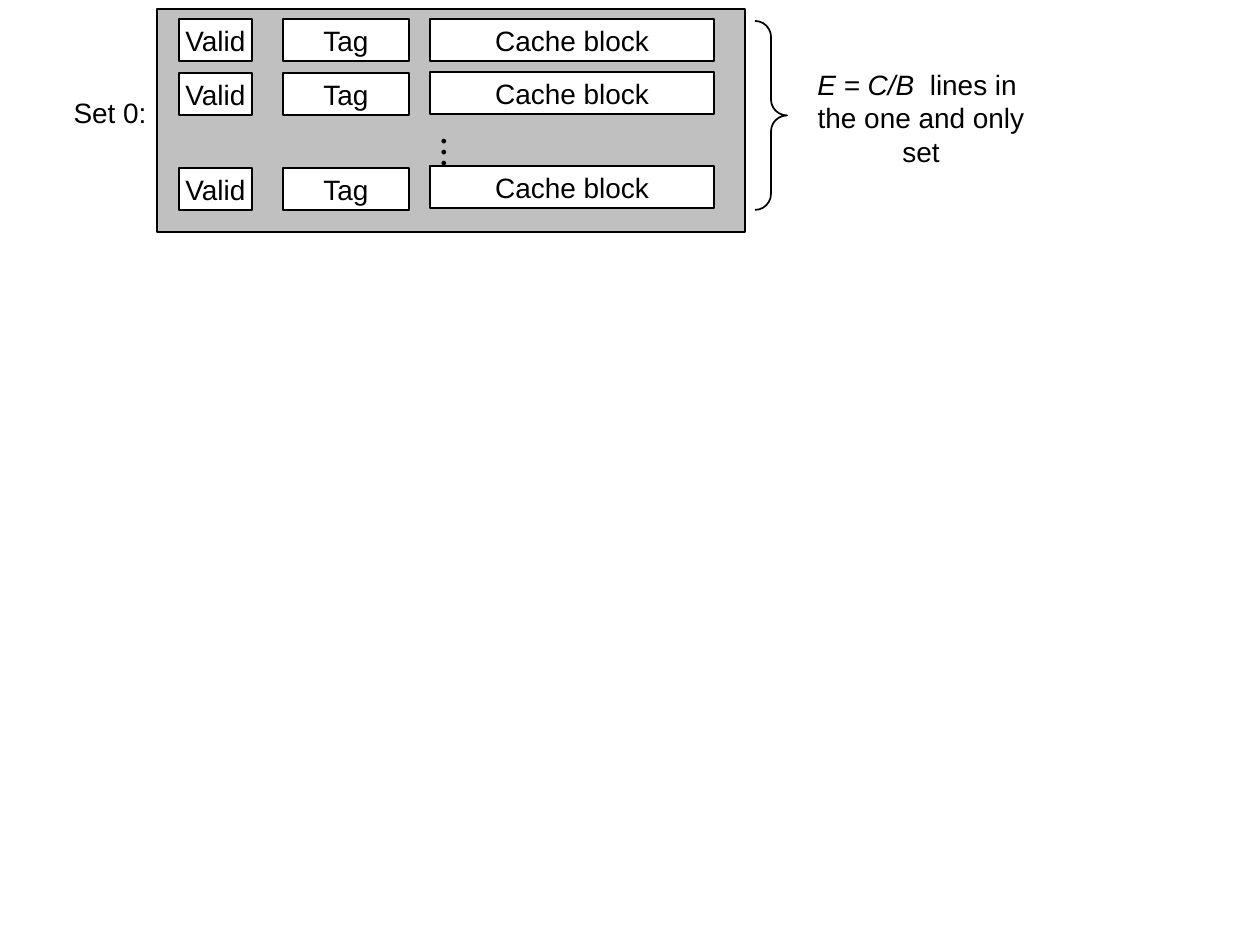
from pptx import Presentation
from pptx.dml.color import RGBColor
from pptx.enum.shapes import MSO_SHAPE as Shape
from pptx.enum.text import MSO_ANCHOR as Anchor, MSO_AUTO_SIZE as AutoSize, PP_ALIGN as Align
from pptx.util import Emu, Inches, Pt

PX_PER_INCH = 126
ROW_HEIGHT = 42


def px(*lengths):
    return [Emu(round(Inches(length) / PX_PER_INCH)) for length in lengths]


def color(hex_value):
    return RGBColor.from_string(hex_value)


class Diagram:
    font_name = "Arial"
    ink = "000000"
    paper = "FFFFFF"
    panel = "C0C0C0"

    def __init__(self, slide):
        self.slide = slide

    def set_text(self, frame, lines, size=16):
        """Each line is a list of (text, italic) runs."""
        frame.word_wrap = False
        frame.vertical_anchor = Anchor.MIDDLE
        for index, line in enumerate(lines):
            paragraph = frame.paragraphs[0] if index == 0 else frame.add_paragraph()
            paragraph.alignment = Align.CENTER
            paragraph.font.name = self.font_name
            paragraph.font.size = Pt(size)
            paragraph.font.color.rgb = color(self.ink)
            for text, italic in line:
                run = paragraph.add_run()
                run.text = text
                if italic:
                    run.font.italic = True

    def outline(self, kind, bounds, fill=None):
        shape = self.slide.shapes.add_shape(kind, *px(*bounds))
        shape.shadow.inherit = False
        if fill:
            shape.fill.solid()
            shape.fill.fore_color.rgb = color(fill)
        else:
            shape.fill.background()
        shape.line.color.rgb = color(self.ink)
        shape.line.width = Pt(1)
        return shape

    def field(self, text, bounds):
        box = self.outline(Shape.RECTANGLE, bounds, self.paper)
        self.set_text(box.text_frame, [[(text, False)]])

    def brace(self, bounds):
        self.outline(Shape.RIGHT_BRACE, bounds).adjustments[0] = 0.5

    def label(self, lines, bounds):
        frame = self.slide.shapes.add_textbox(*px(*bounds)).text_frame
        self.set_text(frame, lines)
        frame.auto_size = AutoSize.SHAPE_TO_FIT_TEXT

    def vertical_dots(self, bounds):
        frame = self.slide.shapes.add_textbox(*px(*bounds)).text_frame
        frame.margin_left = frame.margin_right = Inches(0.05)
        frame.margin_top = frame.margin_bottom = Inches(0.1)
        self.set_text(frame, [[("• • •", False)]], size=10)
        frame._txBody.bodyPr.set("vert", "eaVert")


def main():
    deck = Presentation()
    deck.slide_width, deck.slide_height = Inches(10), Inches(7.5)
    diagram = Diagram(deck.slides.add_slide(deck.slide_layouts[6]))

    diagram.outline(Shape.RECTANGLE, (157, 9, 588, 223), Diagram.panel)
    field_tops = (19, 73, 168)
    block_tops = (19, 72, 166)
    columns = (
        ("Valid", 179, 73, field_tops),
        ("Tag", 283, 126, field_tops),
        ("Cache block", 430, 284, block_tops),
    )
    for name, left, width, tops in columns:
        for top in tops:
            diagram.field(name, (left, top, width, ROW_HEIGHT))
    diagram.vertical_dots((398, 126, 94, ROW_HEIGHT))

    diagram.label([[("Set 0:", False)]], (61, 89, 98, 46))
    diagram.brace((755, 21, 32, 189))
    diagram.label(
        [
            [("E = C/B ", True), (" lines in ", False)],
            [("the one and only set", False)],
        ],
        (783, 77, 276, 81),
    )
    deck.save("out.pptx")


if __name__ == "__main__":
    main()
